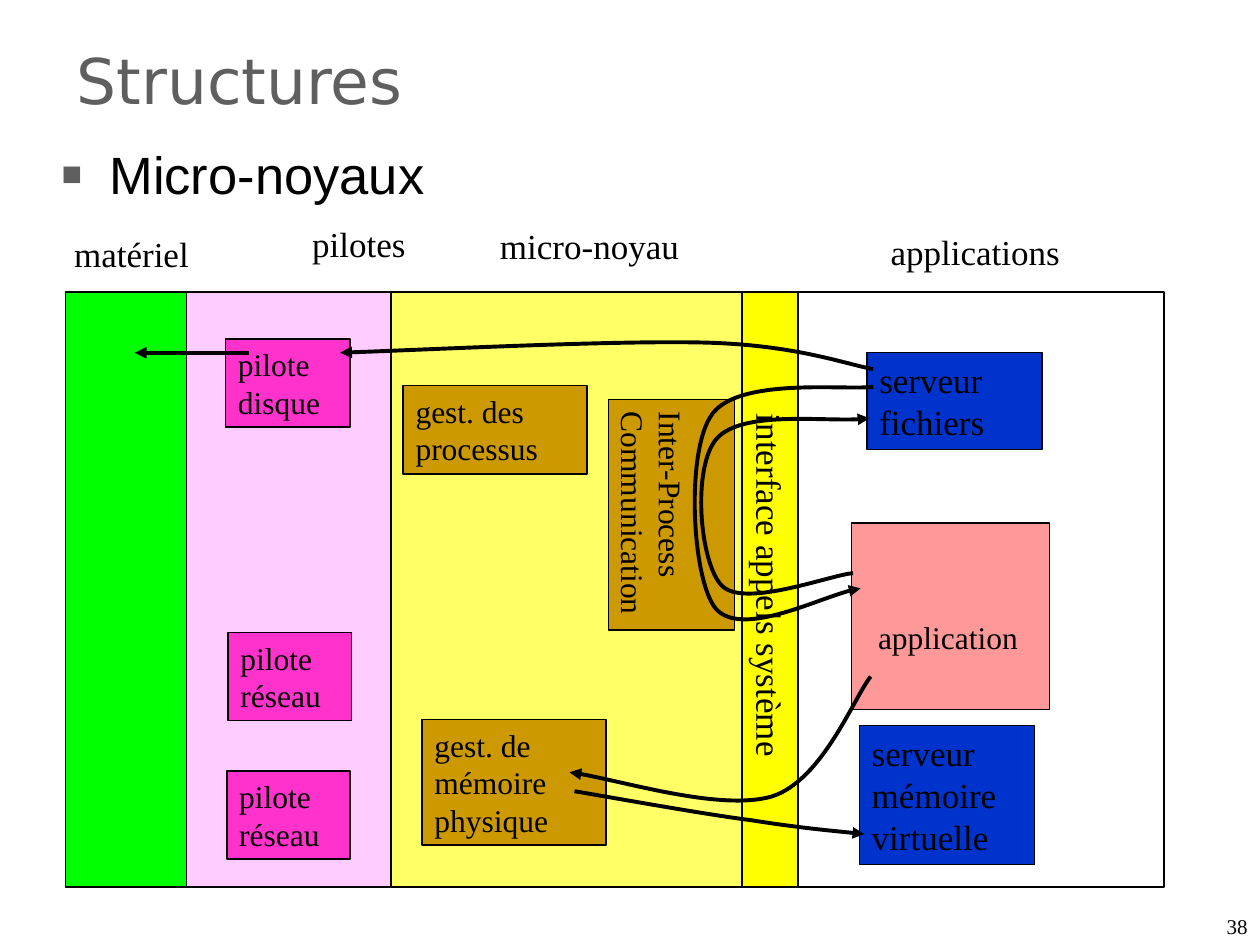
from dataclasses import dataclass
from itertools import accumulate
from typing import Optional

from lxml.etree import SubElement
from pptx import Presentation
from pptx.dml.color import RGBColor
from pptx.enum.shapes import MSO_CONNECTOR, MSO_SHAPE
from pptx.enum.text import MSO_ANCHOR, PP_ALIGN
from pptx.oxml.ns import qn
from pptx.util import Inches, Pt

BLACK = RGBColor(0x00, 0x00, 0x00)
GREY = RGBColor(0x5F, 0x5F, 0x5F)
GREEN = RGBColor(0x00, 0xFF, 0x00)
LILAC = RGBColor(0xFF, 0xCC, 0xFF)
PALE_YELLOW = RGBColor(0xFF, 0xFF, 0x66)
YELLOW = RGBColor(0xFF, 0xFF, 0x00)
MAGENTA = RGBColor(0xFF, 0x33, 0xCC)
OCHRE = RGBColor(0xCC, 0x99, 0x00)
BLUE = RGBColor(0x00, 0x33, 0xCC)
PINK = RGBColor(0xFF, 0x99, 0x99)

SERIF = "Times New Roman"
COLUMN_TOP, COLUMN_HEIGHT = 2.32, 4.72
Point = tuple[float, float]


@dataclass
class Block:
    """A rectangle, given by the area it covers; turned ones read downwards."""
    left: float
    top: float
    width: float
    height: float
    fill: Optional[RGBColor]
    text: str = ""
    size: float = 18
    outline: float = 1
    turned: bool = False
    align: PP_ALIGN = PP_ALIGN.LEFT
    anchor: MSO_ANCHOR = MSO_ANCHOR.TOP


@dataclass
class Label:
    text: str
    left: float
    top: float
    width: float
    height: float = 0.44
    size: float = 20


def write_text(box, text: str, *, size: float, font: str = SERIF,
               color: RGBColor = BLACK, align: PP_ALIGN = PP_ALIGN.LEFT,
               anchor: MSO_ANCHOR = MSO_ANCHOR.TOP, bullet: bool = False) -> None:
    frame = box.text_frame
    frame.word_wrap = True
    frame.vertical_anchor = anchor
    for index, line in enumerate(text.split("\n")):
        para = frame.paragraphs[0] if index == 0 else frame.add_paragraph()
        para.alignment = align
        if bullet:
            add_bullet(para)
        span = para.add_run()
        span.text = line
        span.font.name = font
        span.font.size = Pt(size)
        span.font.color.rgb = color


def add_bullet(para) -> None:
    properties = para._p.get_or_add_pPr()
    properties.set("marL", str(Inches(0.38)))
    properties.set("indent", str(Inches(-0.38)))
    color = SubElement(properties, qn("a:buClr"))
    SubElement(color, qn("a:srgbClr"), val=str(GREY))
    SubElement(properties, qn("a:buSzPct"), val="65000")
    SubElement(properties, qn("a:buFont"), typeface="Arial")
    SubElement(properties, qn("a:buChar"), char="■")


def add_text(page, text: str, left: float, top: float, width: float,
             height: float, **style) -> None:
    box = page.shapes.add_textbox(Inches(left), Inches(top), Inches(width), Inches(height))
    write_text(box, text, **style)


def draw_block(page, block: Block) -> None:
    left, top, width, height = block.left, block.top, block.width, block.height
    if block.turned:
        left += (width - height) / 2
        top += (height - width) / 2
        width, height = height, width
    box = page.shapes.add_shape(MSO_SHAPE.RECTANGLE, Inches(left), Inches(top),
                                Inches(width), Inches(height))
    box.rotation = 90 if block.turned else 0
    box.shadow.inherit = False
    if block.fill is None:
        box.fill.background()
    else:
        box.fill.solid()
        box.fill.fore_color.rgb = block.fill
    box.line.color.rgb = BLACK
    box.line.width = Pt(block.outline)
    if block.text:
        write_text(box, block.text, size=block.size, align=block.align, anchor=block.anchor)


def style_arrow(arrow) -> None:
    arrow.line.color.rgb = BLACK
    arrow.line.width = Pt(2.25)
    line = arrow._element.spPr.find(qn("a:ln"))
    SubElement(line, qn("a:tailEnd"), type="triangle")


def draw_curve(page, points: list[Point]) -> None:
    """Draw Bézier segments: a start, then two controls and an end for each."""
    corners = [(Inches(x), Inches(y)) for x, y in points]
    builder = page.shapes.build_freeform(*corners[0])
    builder.add_line_segments(corners[1:], close=False)
    curve = builder.convert_to_shape()
    curve.shadow.inherit = False
    curve.fill.background()
    style_arrow(curve)
    # Turn each three straight steps into one cubic segment
    outline = next(curve._element.iter(qn("a:path")))
    steps = outline.findall(qn("a:lnTo"))
    for start in range(0, len(steps), 3):
        cubic = SubElement(outline, qn("a:cubicBezTo"))
        for step in steps[start:start + 3]:
            cubic.append(step[0])
            outline.remove(step)


def draw_straight(page, start: Point, end: Point) -> None:
    arrow = page.shapes.add_connector(MSO_CONNECTOR.STRAIGHT,
                                      *(Inches(value) for value in start + end))
    style_arrow(arrow)
    SubElement(arrow._element.spPr, qn("a:effectLst"))


COLUMN_WIDTHS = [0.96, 1.62, 2.79, 0.44, 2.91]
COLUMN_FILLS = [GREEN, LILAC, PALE_YELLOW, YELLOW, None]
COLUMN_TEXTS = ["", "", "", "interface appels système ", ""]
LABELS = [
    Label("matériel", 0.49, 1.8, 1.23),
    Label("pilotes", 2.38, 1.72, 1.03),
    Label("micro-noyau", 3.87, 1.73, 1.93),
    Label("applications", 6.97, 1.78, 1.65),
    Label("application", 6.87, 4.86, 1.42, 0.4, 18),
]
BLOCKS = [
    Block(1.79, 2.69, 0.99, 0.7, MAGENTA, "pilote disque"),
    Block(1.81, 5.02, 0.98, 0.7, MAGENTA, "pilote réseau"),
    Block(1.8, 6.12, 0.98, 0.7, MAGENTA, "pilote réseau"),
    Block(3.2, 3.06, 1.46, 0.7, OCHRE, "gest. des processus"),
    Block(3.35, 5.71, 1.46, 1, OCHRE, "gest. de mémoire\nphysique"),
    Block(4.83, 3.17, 1, 1.83, OCHRE, "Inter-Process\nCommunication",
          turned=True, anchor=MSO_ANCHOR.BOTTOM),
    Block(6.76, 4.15, 1.57, 1.48, PINK, outline=0.75),
    Block(6.88, 2.8, 1.39, 0.77, BLUE, "serveur fichiers", 20, 0.75),
    Block(6.82, 5.76, 1.39, 1.1, BLUE, "serveur mémoire virtuelle", 20, 0.75),
]
CURVES = [
    # File server to application and back
    [(6.93, 3.07), (6.72, 3.1), (5.86, 2.99), (5.65, 3.29),
     (5.44, 3.58), (5.49, 4.6), (5.68, 4.83), (5.88, 5.06), (6.59, 4.7), (6.83, 4.67)],
    [(6.77, 4.55), (6.6, 4.56), (5.91, 4.83), (5.73, 4.65),
     (5.55, 4.47), (5.49, 3.7), (5.69, 3.48), (5.89, 3.26), (6.65, 3.36), (6.9, 3.32)],
    # File server to disk driver
    [(6.93, 2.93), (6.71, 2.89), (6.32, 2.74), (5.61, 2.72),
     (4.91, 2.7), (3.31, 2.78), (2.7, 2.8)],
    # Application to physical memory, then to virtual memory
    [(6.91, 5.37), (6.78, 5.53), (6.53, 6.19), (6.13, 6.32),
     (5.73, 6.44), (4.85, 6.17), (4.52, 6.13)],
    [(4.56, 6.28), (4.8, 6.32), (5.57, 6.46), (5.96, 6.51),
     (6.34, 6.57), (6.67, 6.6), (6.86, 6.62)],
]


def main() -> None:
    deck = Presentation()
    deck.slide_width, deck.slide_height = Inches(10), Inches(7.5)
    page = deck.slides.add_slide(deck.slide_layouts[6])

    # Heading and page number
    add_text(page, "Structures", 0.51, 0.25, 6.7, 0.76, size=36,
             font="DejaVu Sans", color=GREY, anchor=MSO_ANCHOR.MIDDLE)
    add_text(page, "Micro-noyaux", 0.39, 1.08, 8.96, 0.69, size=30,
             font="Arial", bullet=True)
    add_text(page, "38", 7.67, 7.14, 2.33, 0.36, size=12,
             align=PP_ALIGN.RIGHT, anchor=MSO_ANCHOR.BOTTOM)

    # Columns side by side
    lefts = accumulate(COLUMN_WIDTHS, initial=0.52)
    for left, width, fill, text in zip(lefts, COLUMN_WIDTHS, COLUMN_FILLS, COLUMN_TEXTS):
        draw_block(page, Block(left, COLUMN_TOP, width, COLUMN_HEIGHT, fill, text, 20,
                               turned=True, align=PP_ALIGN.CENTER))

    # Components, labels and arrows
    for block in BLOCKS:
        draw_block(page, block)
    for label in LABELS:
        add_text(page, label.text, label.left, label.top, label.width, label.height,
                 size=label.size)
    for points in CURVES:
        draw_curve(page, points)
    draw_straight(page, (1.98, 2.8), (1.07, 2.8))

    deck.save("out.pptx")


if __name__ == "__main__":
    main()
